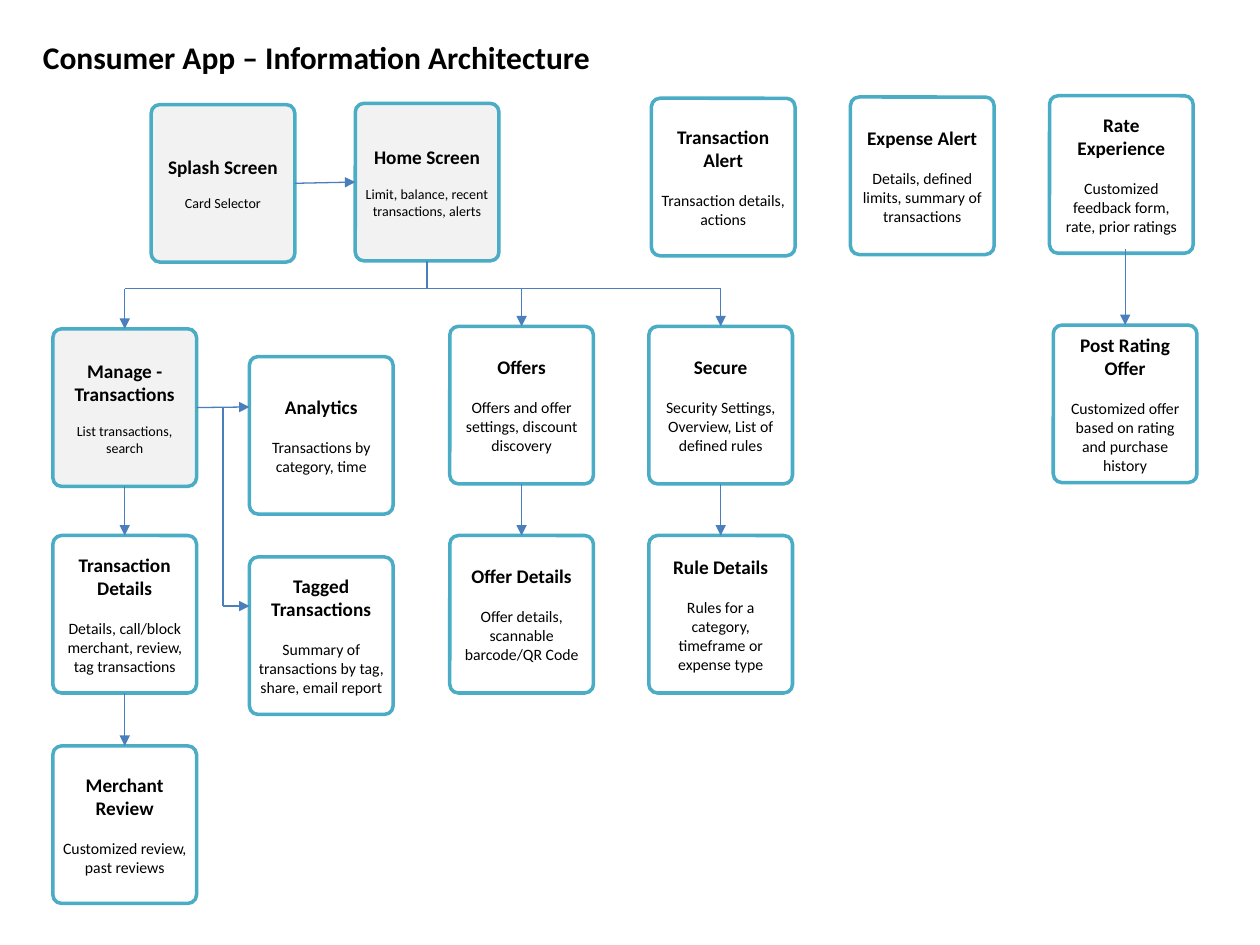
from lxml.etree import SubElement
from pptx import Presentation
from pptx.dml.color import RGBColor
from pptx.enum.shapes import MSO_CONNECTOR, MSO_SHAPE
from pptx.enum.text import MSO_ANCHOR, MSO_AUTO_SIZE, PP_ALIGN
from pptx.oxml.ns import qn
from pptx.util import Inches, Pt

BOX_WIDTH, BOX_HEIGHT = 1.14, 1.25
TOP, LEFT, BOTTOM, RIGHT = range(4)
BRANCH_Y, SIDE_X = 2.29, 1.77
ANALYTICS_Y, TAGGED_Y = 3.23, 4.81


def color(value):
    return RGBColor.from_string(value)


def link(begin, end, arrow=True):
    points = [(0, 0) if isinstance(p[0], str) else p for p in (begin, end)]
    (x1, y1), (x2, y2) = points
    connector = slide.shapes.add_connector(
        MSO_CONNECTOR.STRAIGHT, Inches(x1), Inches(y1), Inches(x2), Inches(y2))
    if isinstance(begin[0], str):
        connector.begin_connect(screens[begin[0]], begin[1])
    if isinstance(end[0], str):
        connector.end_connect(screens[end[0]], end[1])
    connector.line.color.rgb = color("4B7EBC")
    connector.line.width = Pt(0.75)
    if arrow:
        SubElement(connector.line._get_or_add_ln(), qn("a:tailEnd"), type="triangle")
    SubElement(connector._element.spPr, qn("a:effectLst"))


prs = Presentation()
prs.slide_width, prs.slide_height = Inches(10), Inches(7.5)
slide = prs.slides.add_slide(prs.slide_layouts[5])

title = slide.shapes.title
title.left, title.top, title.width, title.height = map(Inches, (0.24, 0.25, 4.58, 0.4))
title.text_frame.text = "Consumer App – Information Architecture"
title.text_frame.word_wrap = False
title.text_frame.auto_size = MSO_AUTO_SIZE.NONE
heading = title.text_frame.paragraphs[0]
heading.alignment = PP_ALIGN.LEFT
heading.runs[0].font.name = "Calibri"
heading.runs[0].font.size = Pt(18)
heading.runs[0].font.bold = True
heading.runs[0].font.color.rgb = color("000000")

MAIN, DETAIL = ("F2F2F2", 8), ("FFFFFF", 9)
screen_rows = [
    ("Splash Screen", "Card Selector", 1.2, 0.83, MAIN),
    ("Home Screen", "Limit, balance, recent transactions, alerts", 2.82, 0.82, MAIN),
    ("Transaction Alert", "Transaction details, actions", 5.17, 0.78, DETAIL),
    ("Expense Alert", "Details, defined limits, summary of transactions", 6.75, 0.77, DETAIL),
    ("Rate Experience", "Customized feedback form, rate, prior ratings", 8.33, 0.76, DETAIL),
    ("Manage - Transactions", "List transactions, search", 0.42, 2.61, MAIN),
    ("Analytics", "Transactions by category, time", 1.98, 2.83, DETAIL),
    ("Offers", "Offers and offer settings, discount discovery", 3.57, 2.59, DETAIL),
    ("Secure", "Security Settings, Overview, List of defined rules", 5.15, 2.59, DETAIL),
    ("Post Rating Offer", "Customized offer based on rating and purchase history", 8.36, 2.58, DETAIL),
    ("Transaction Details", "Details, call/block merchant, review, tag transactions", 0.42, 4.25, DETAIL),
    ("Tagged Transactions", "Summary of transactions by tag, share, email report", 1.98, 4.42, DETAIL),
    ("Offer Details", "Offer details, scannable barcode/QR Code", 3.57, 4.25, DETAIL),
    ("Rule Details", "Rules for a category, timeframe or expense type", 5.15, 4.25, DETAIL),
    ("Merchant Review", "Customized review, past reviews", 0.42, 5.92, DETAIL),
]

screens = {}
for name, summary, left, top, (fill, summary_size) in screen_rows:
    screen = slide.shapes.add_shape(
        MSO_SHAPE.ROUNDED_RECTANGLE, Inches(left), Inches(top),
        Inches(BOX_WIDTH), Inches(BOX_HEIGHT))
    screens[name] = screen
    screen.adjustments[0] = 0.06
    screen.shadow.inherit = False
    screen.fill.solid()
    screen.fill.fore_color.rgb = color(fill)
    screen.line.color.rgb = color("4BACC6")
    screen.line.width = Pt(2)
    frame = screen.text_frame
    frame.word_wrap = True
    frame.vertical_anchor = MSO_ANCHOR.MIDDLE
    frame.margin_left = frame.margin_right = Inches(0.05)
    frame.margin_top = frame.margin_bottom = Inches(0.05)
    frame.text = f"{name}\n{summary}"
    frame.paragraphs[1].space_before = Pt(summary_size * 1.22)
    for paragraph, size, bold in zip(frame.paragraphs, (11, summary_size), (True, False)):
        paragraph.alignment = PP_ALIGN.CENTER
        font = paragraph.runs[0].font
        font.name = "Calibri"
        font.size = Pt(size)
        font.bold = bold
        font.color.rgb = color("000000")

link(("Splash Screen", RIGHT), ("Home Screen", LEFT))
for upper, lower in [
    ("Manage - Transactions", "Transaction Details"),
    ("Transaction Details", "Merchant Review"),
    ("Offers", "Offer Details"),
    ("Secure", "Rule Details"),
]:
    link((upper, BOTTOM), (lower, TOP))
link((8.93, 1.98), ("Post Rating Offer", TOP))

link(("Home Screen", BOTTOM), (3.39, BRANCH_Y), arrow=False)
link((0.99, BRANCH_Y), (5.72, BRANCH_Y), arrow=False)
for section, center in [("Manage - Transactions", 0.99), ("Offers", 4.14), ("Secure", 5.72)]:
    link((center, BRANCH_Y), (section, TOP))

link(("Manage - Transactions", RIGHT), (1.98, ANALYTICS_Y))
link((SIDE_X, ANALYTICS_Y), (SIDE_X, TAGGED_Y), arrow=False)
link((SIDE_X, TAGGED_Y), (1.98, TAGGED_Y))

prs.save("out.pptx")
